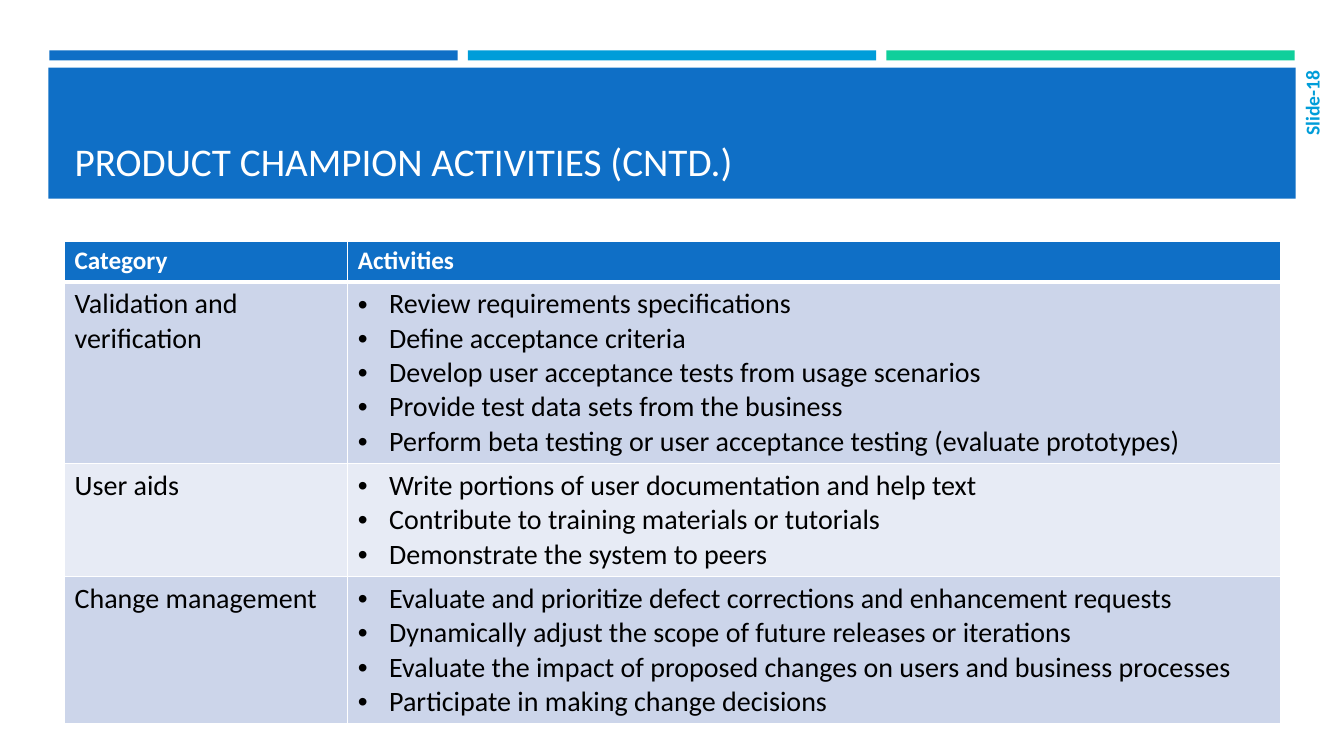
import pptx
import pptx.dml.color
import pptx.enum.shapes
import pptx.enum.text
import pptx.oxml
import pptx.oxml.ns
import pptx.util
from pptx.util import Inches

COLORS = {
    "blue": "0F6FC6",
    "cyan": "009DD9",
    "green": "10CF9B",
    "white": "FFFFFF",
    "black": "000000",
    "band_dark": "CCD5EA",
    "band_light": "E7EBF5",
}
ACTIVITIES = {
    "Validation and verification": [
        "Review requirements specifications",
        "Define acceptance criteria",
        "Develop user acceptance tests from usage scenarios",
        "Provide test data sets from the business",
        "Perform beta testing or user acceptance testing (evaluate prototypes)",
    ],
    "User aids": [
        "Write portions of user documentation and help text",
        "Contribute to training materials or tutorials",
        "Demonstrate the system to peers",
    ],
    "Change management": [
        "Evaluate and prioritize defect corrections and enhancement requests",
        "Dynamically adjust the scope of future releases or iterations",
        "Evaluate the impact of proposed changes on users and business processes",
        "Participate in making change decisions",
    ],
}


def rgb(name):
    return pptx.dml.color.RGBColor.from_string(COLORS[name])


def style_text(frame, size, color, bold=False):
    for para in frame.paragraphs:
        for span in para.runs:
            span.font.name = "Calibri"
            span.font.size = pptx.util.Pt(size)
            span.font.bold = bold
            span.font.color.rgb = rgb(color)


deck = pptx.Presentation()
deck.slide_width = Inches(13.33)
deck.slide_height = Inches(7.5)
page = deck.slides.add_slide(deck.slide_layouts[5])

# Accent bars and title panel
bars = [(0.49 + 4.15 * place, 0.5, 4.05, 0.1, color)
        for place, color in enumerate(["blue", "cyan", "green"])]
for left, top, width, height, color in bars + [(0.48, 0.67, 12.37, 1.3, "blue")]:
    box = page.shapes.add_shape(
        pptx.enum.shapes.MSO_SHAPE.RECTANGLE,
        Inches(left), Inches(top), Inches(width), Inches(height))
    box.shadow.inherit = False
    box.fill.solid()
    box.fill.fore_color.rgb = rgb(color)
    box.line.fill.background()

# Title, brought in front of its panel
title = page.shapes.title
title.left, title.top = Inches(0.64), Inches(0.77)
title.width, title.height = Inches(12.06), Inches(1.11)
title.text_frame.text = "PRODUCT CHAMPION ACTIVITIES (CNTD.)"
title.text_frame.auto_size = pptx.enum.text.MSO_AUTO_SIZE.NONE
title.text_frame.vertical_anchor = pptx.enum.text.MSO_ANCHOR.BOTTOM
title.text_frame.paragraphs[0].alignment = pptx.enum.text.PP_ALIGN.LEFT
style_text(title.text_frame, 28, "white")
page.shapes._spTree.append(title._element)

# Activities table
table = page.shapes.add_table(
    len(ACTIVITIES) + 1, 2,
    Inches(0.64), Inches(2.39), Inches(12.06), Inches(4.77)).table
for column, width in zip(table.columns, [2.81, 9.25]):
    column.width = Inches(width)
for row, height in zip(table.rows, [0.41, 1.78, 1.12, 1.46]):
    row.height = Inches(height)

rows = [("Category", ["Activities"])] + list(ACTIVITIES.items())
for row_index, (category, activities) in enumerate(rows):
    header = row_index == 0
    for column_index, lines in enumerate([[category], activities]):
        cell = table.cell(row_index, column_index)
        cell.text_frame.text = "\n".join(lines)
        if header:
            style_text(cell.text_frame, 18, "white", bold=True)
            fill = "blue"
        else:
            style_text(cell.text_frame, 20, "black")
            fill = "band_dark" if row_index % 2 else "band_light"

        # White borders, thicker under the header
        properties = cell._tc.get_or_add_tcPr()
        for side in "LRTB":
            thick = (header and side == "B") or (row_index == 1 and side == "T")
            properties.append(pptx.oxml.parse_xml(
                f'<a:ln{side} {pptx.oxml.ns.nsdecls("a")} w="{38100 if thick else 12700}">'
                f'<a:solidFill><a:srgbClr val="{COLORS["white"]}"/></a:solidFill>'
                f'</a:ln{side}>'))
        cell.fill.solid()
        cell.fill.fore_color.rgb = rgb(fill)

        # Bullets in the activities column
        if column_index == 1 and not header:
            for para in cell.text_frame.paragraphs:
                settings = para._p.get_or_add_pPr()
                settings.set("marL", str(Inches(0.31)))
                settings.set("indent", str(Inches(-0.31)))
                settings.append(pptx.oxml.parse_xml(
                    f'<a:buFont {pptx.oxml.ns.nsdecls("a")} typeface="Arial"/>'))
                settings.append(pptx.oxml.parse_xml(
                    f'<a:buChar {pptx.oxml.ns.nsdecls("a")} char="•"/>'))

# Vertical slide label
label = page.shapes.add_textbox(Inches(12.87), Inches(0.66), Inches(0.28), Inches(0.98))
frame = label.text_frame
frame.text = "Slide-18"
frame.word_wrap = True
frame.margin_left = frame.margin_right = Inches(0.04)
frame.margin_top = frame.margin_bottom = Inches(0.04)
frame.vertical_anchor = pptx.enum.text.MSO_ANCHOR.MIDDLE
frame.paragraphs[0].alignment = pptx.enum.text.PP_ALIGN.RIGHT
frame._txBody.bodyPr.set("vert", "vert270")
style_text(frame, 14, "cyan", bold=True)

deck.save("out.pptx")
